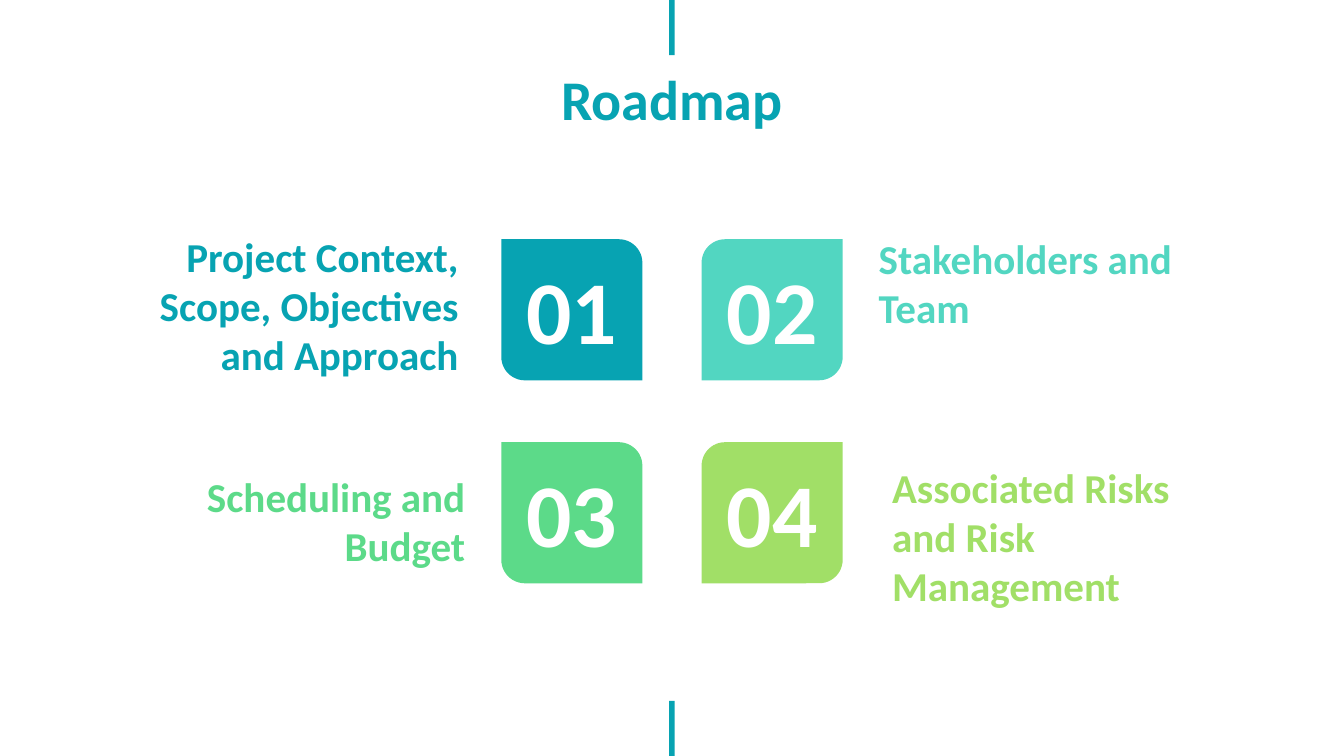
from pptx import Presentation
from pptx.dml.color import RGBColor
from pptx.enum.shapes import MSO_SHAPE
from pptx.enum.text import MSO_ANCHOR, PP_ALIGN
from pptx.util import Inches, Pt

TEAL = RGBColor(0x07, 0xA3, 0xB2)
AQUA = RGBColor(0x52, 0xD6, 0xC1)
GREEN = RGBColor(0x5C, 0xDA, 0x89)
LIME = RGBColor(0xA1, 0xDF, 0x67)
WHITE = RGBColor(0xFF, 0xFF, 0xFF)

SLIDE_WIDTH = 10
SLIDE_HEIGHT = SLIDE_WIDTH * 9 / 16
TILE_SIZE = 1.05
COLUMNS = (3.73, 5.22)
ROWS = (1.78, 3.29)
CORNERS = ((0, 0.167), (0.167, 0))
ALIGNMENTS = (PP_ALIGN.RIGHT, PP_ALIGN.LEFT)
BAR_WIDTH, BAR_HEIGHT = 0.04, 0.41

TOPICS = (
    ("Project Context, Scope, Objectives and Approach", TEAL, (0.9, 1.38, 2.61, 1.54)),
    ("Stakeholders and Team", AQUA, (6.44, 1.75, 2.46, 0.82)),
    ("Scheduling and Budget", GREEN, (1.1, 3.52, 2.46, 0.82)),
    ("Associated Risks and Risk Management", LIME, (6.54, 3.48, 2.46, 1.16)),
)


class SlideBuilder:
    font_format = {"name": "Calibri", "bold": True}
    frame_format = {
        "word_wrap": True,
        "margin_left": Inches(0.1),
        "margin_top": Inches(0.1),
        "margin_right": Inches(0.1),
        "margin_bottom": Inches(0.1),
    }

    def __init__(self, slide):
        self.slide = slide

    def apply(self, target, values):
        for name, value in values.items():
            setattr(target, name, value)

    def shape(self, kind, box, color, adjustments=()):
        shape = self.slide.shapes.add_shape(kind, *map(Inches, box))
        shape.shadow.inherit = False
        shape.fill.solid()
        shape.fill.fore_color.rgb = color
        shape.line.fill.background()
        for index, value in enumerate(adjustments):
            shape.adjustments[index] = value

    def text(self, text, box, size, color, alignment, anchor):
        frame = self.slide.shapes.add_textbox(*map(Inches, box)).text_frame
        self.apply(frame, {**self.frame_format, "vertical_anchor": anchor})
        paragraph = frame.paragraphs[0]
        paragraph.alignment = alignment
        run = paragraph.add_run()
        run.text = text
        self.apply(run.font, {**self.font_format, "size": Pt(size)})
        run.font.color.rgb = color


presentation = Presentation()
presentation.slide_width = Inches(SLIDE_WIDTH)
presentation.slide_height = Inches(SLIDE_HEIGHT)
builder = SlideBuilder(presentation.slides.add_slide(presentation.slide_layouts[6]))

builder.text("Roadmap", (1.9, 0.38, 6.2, 0.95), 30, TEAL, PP_ALIGN.CENTER, MSO_ANCHOR.TOP)

for index, (topic, color, topic_box) in enumerate(TOPICS):
    row, column = divmod(index, 2)
    left, top = COLUMNS[column], ROWS[row]
    builder.shape(MSO_SHAPE.ROUND_2_DIAG_RECTANGLE, (left, top, TILE_SIZE, TILE_SIZE),
                  color, CORNERS[column])
    builder.text(f"{index + 1:02d}", (left, top + 0.2, TILE_SIZE, 0.63), 48, WHITE,
                 PP_ALIGN.CENTER, MSO_ANCHOR.MIDDLE)
    builder.text(topic, topic_box, 22, color, ALIGNMENTS[column], MSO_ANCHOR.BOTTOM)

for top in (0, SLIDE_HEIGHT - BAR_HEIGHT):
    builder.shape(MSO_SHAPE.RECTANGLE, (4.98, top, BAR_WIDTH, BAR_HEIGHT), TEAL)

presentation.save("out.pptx")
